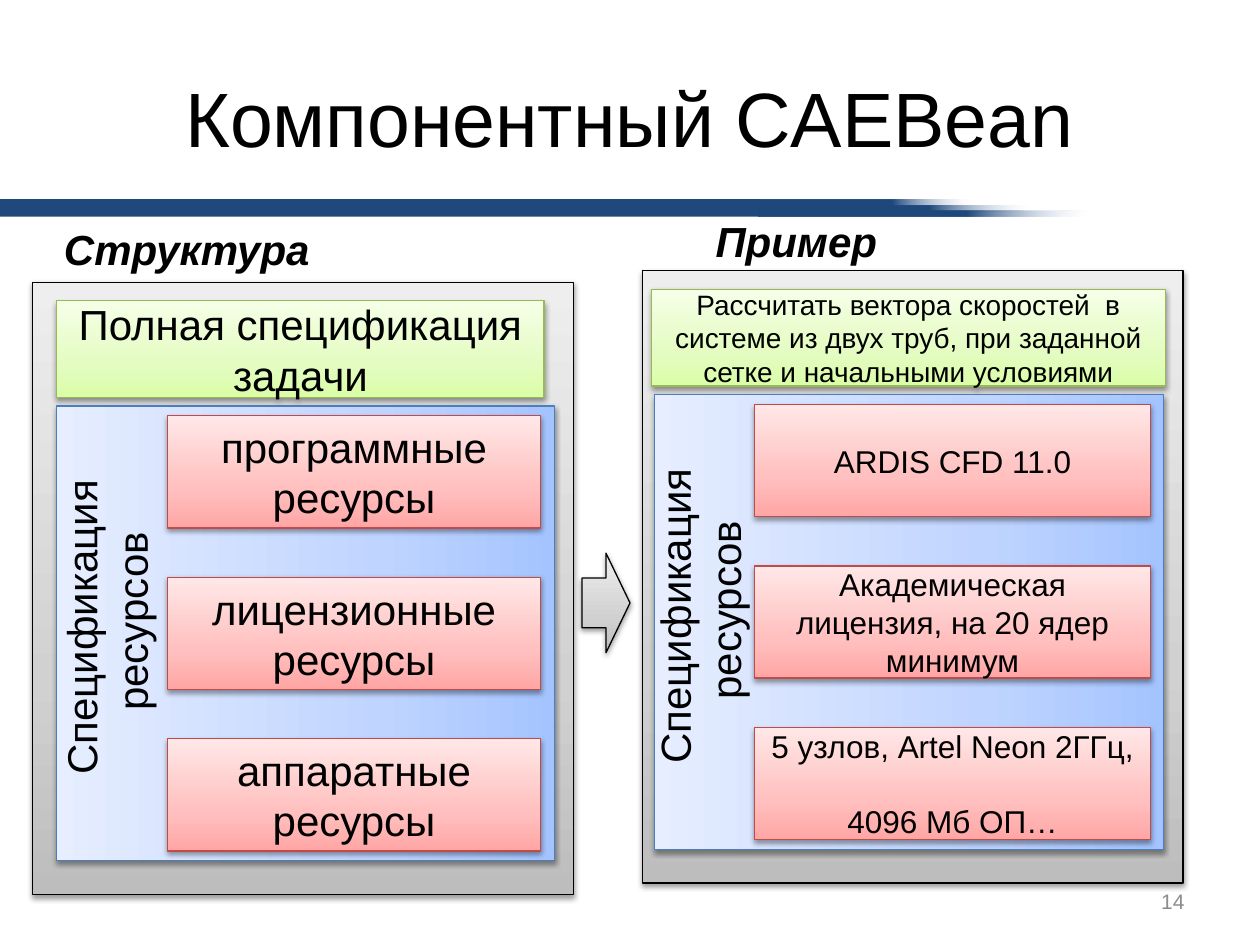
from lxml import etree
from pptx import Presentation
from pptx import util as u
from pptx.dml import color
from pptx.enum import shapes, text
from pptx.oxml import ns

GREY = ("BDBDBD", "D1D1D1", "EEEEEE")
GREEN = ("DAFDA7", "E4FCC2", "F5FFE7")
BLUE = ("A4C4FF", "BFD4FF", "E6EEFF")
RED = ("FFA6A5", "FFC0BF", "FFE7E7")
NAVY = "1F497D"
MID, TOP, LOW = text.MSO_ANCHOR.MIDDLE, text.MSO_ANCHOR.TOP, text.MSO_ANCHOR.BOTTOM
LEFT, MEAN, RIGHT = text.PP_ALIGN.LEFT, text.PP_ALIGN.CENTER, text.PP_ALIGN.RIGHT
RECT, ARROW = shapes.MSO_SHAPE.RECTANGLE, shapes.MSO_SHAPE.RIGHT_ARROW


def paint(code):
    return color.RGBColor.from_string(code)


def node(home, tag, **keys):
    return etree.SubElement(home, ns.qn("a:" + tag), {k: str(v) for k, v in keys.items()})


def tint(home, code, alpha=100):
    clr = node(home, "srgbClr", val=code)
    if alpha < 100:
        node(clr, "alpha", val=alpha * 1000)


def write(shape, words, size=24, align=MEAN, anchor=MID, hue="000000",
          bold=False, slant=False, wrap=True):
    frame = shape.text_frame
    frame.text = words
    frame.word_wrap = wrap
    frame.vertical_anchor = anchor
    for para in frame.paragraphs:
        para.alignment = align
        for run in para.runs:
            font = run.font
            font.name, font.size = "Arial", u.Pt(size)
            font.bold, font.italic = bold, slant
            font.color.rgb = paint(hue)


class Deck:
    def __init__(self):
        self.file = Presentation()
        self.file.slide_width, self.file.slide_height = u.Pt(720), u.Pt(540)
        self.page = self.file.slides.add_slide(self.file.slide_layouts[6])

    def place(self, box, turn):
        x, y, w, h = box
        if turn:
            x, y, w, h = x + (w - h) / 2, y + (h - w) / 2, h, w
        return [u.Pt(v) for v in (x, y, w, h)]

    def label(self, box, words, turn=False, **form):
        shape = self.page.shapes.add_textbox(*self.place(box, turn))
        shape.rotation = 270 if turn else 0
        write(shape, words, **form)

    def shape(self, box, kind=RECT, turn=False):
        shape = self.page.shapes.add_shape(kind, *self.place(box, turn))
        shape.rotation = 270 if turn else 0
        shape.shadow.inherit = False
        return shape

    def blend(self, shape, stops, angle):
        grad = etree.Element(ns.qn("a:gradFill"), rotWithShape="1")
        row = node(grad, "gsLst")
        for pos, code, alpha in stops:
            tint(node(row, "gs", pos=pos * 1000), code, alpha)
        node(grad, "lin", ang=angle * 60000, scaled=0)
        shape._element.spPr.insert(2, grad)

    def band(self, box, fade=False):
        shape = self.shape(box)
        shape.line.fill.background()
        if fade:
            self.blend(shape, [(0, NAVY, 100), (63, NAVY, 100), (100, "E1E8F5", 0)], 0)
        else:
            shape.fill.solid()
            shape.fill.fore_color.rgb = paint(NAVY)

    def panel(self, box, hues, edge, words="", size=24, kind=RECT, turn=False):
        shape = self.shape(box, kind, turn)
        self.blend(shape, [(p, c, 100) for p, c in zip((0, 35, 100), hues)], 270)
        shape.line.color.rgb = paint(edge)
        shape.line.width = u.Pt(0.75)
        glow = shape._element.spPr.find(ns.qn("a:effectLst"))
        tint(node(glow, "outerShdw", blurRad=u.Pt(3.1), dist=u.Pt(1.6),
                  dir=5400000, rotWithShape=0), "000000", 38)
        if words:
            write(shape, words, size)

    def column(self, x, y, task, core, card, side, goal, parts, sizes):
        self.panel((x, y, 308.9, 349.9), GREY, "000000")
        self.panel((task[0], y + 10.5, task[1], 55.4), GREEN, "98B955", goal, sizes[0])
        self.panel((core[0], y + 70.6, core[1], 259.9), BLUE, "4B7EBC", turn=True)
        for i, part in enumerate(parts):
            self.panel((card[0], y + 76.3 + 92.3 * i, card[1], 64.1),
                       RED, "BF4C48", part, sizes[1])
        self.label((side, y + 104.7, 65.5, 185), "Спецификация\n ресурсов",
                   turn=True, anchor=TOP, wrap=False)


def main():
    deck = Deck()
    deck.band((431.3, 113.8, 124.6, 3.6), fade=True)
    deck.band((0, 113.8, 434.2, 10.1))
    deck.band((432.7, 117.4, 155.5, 3.6), fade=True)
    deck.band((433.4, 120.2, 188.6, 3.6), fade=True)
    deck.label((36, 21.6, 648, 90), "Компонентный CAEBean", size=44)
    for x, y, words in ((401.8, 120.2, "Пример"), (29.5, 124.6, "Структура")):
        deck.label((x, y, 205.9, 35.3), words, align=LEFT, anchor=LOW, bold=True, slant=True)
    deck.label((516.2, 500.4, 167.8, 28.8), "14", size=12, align=RIGHT, hue="8C8C8C")
    deck.column(18.7, 161.3, (32.4, 278.6), (32.4, 284.4), (95.8, 213.1), 28.1,
                "Полная спецификация задачи",
                ("программные ресурсы", "лицензионные ресурсы", "аппаратные ресурсы"),
                (24, 24))
    deck.column(367.2, 154.8, (372.2, 293.8), (374, 290.9), (431.3, 226.1), 367.2,
                "Рассчитать вектора скоростей  в системе из двух труб, "
                "при заданной сетке и начальными условиями",
                ("ARDIS CFD 11.0", "Академическая лицензия, на 20 ядер минимум",
                 "5 узлов, Artel Neon 2ГГц, \v4096 Мб ОП…"),
                (16, 18))
    deck.panel((332.6, 316.1, 27.4, 56.9), GREY, "000000", kind=ARROW)
    deck.file.save("out.pptx")


if __name__ == "__main__":
    main()
